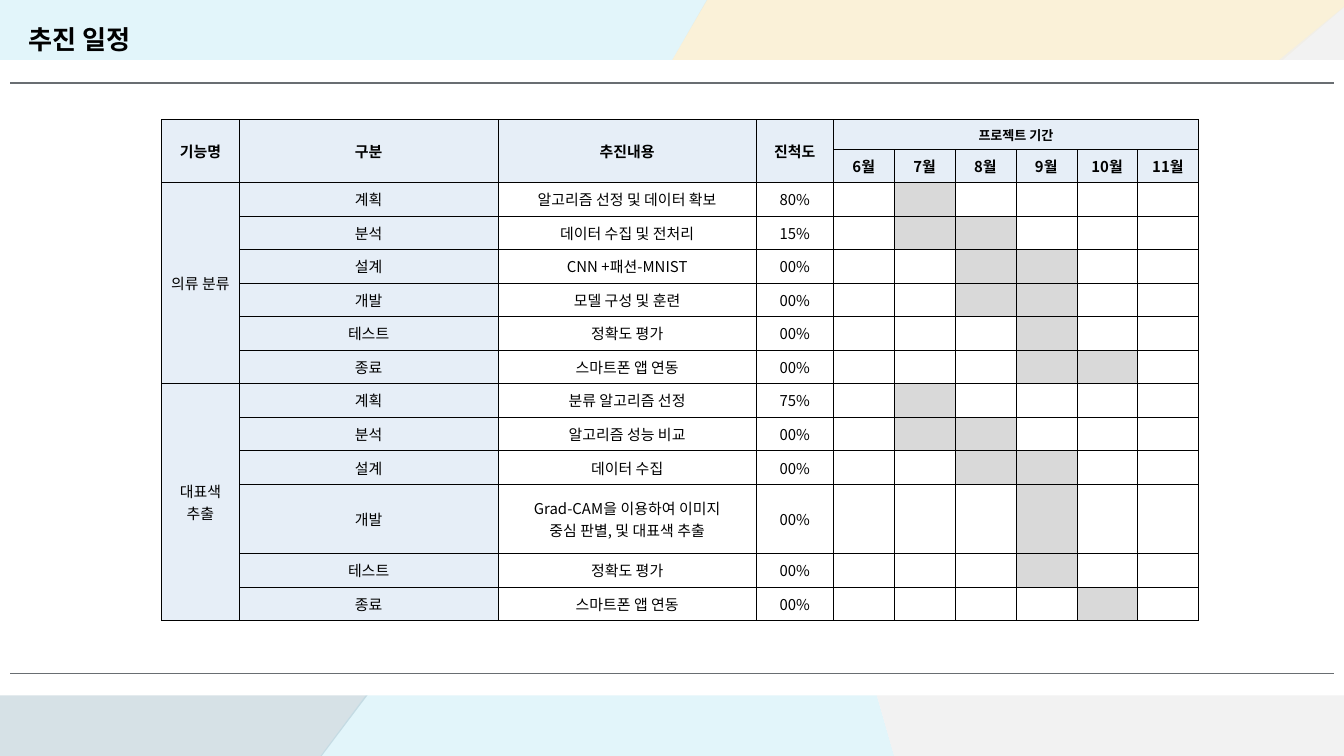
from lxml import etree
from pptx import Presentation
from pptx import util as u
from pptx.dml import color
from pptx.enum import shapes, text
from pptx.oxml import ns

FONT = "Noto Sans CJK KR"
BLACK = color.RGBColor(0x00, 0x00, 0x00)
WHITE = color.RGBColor(0xFF, 0xFF, 0xFF)
RULE = color.RGBColor(0x69, 0x6E, 0x72)
HEADER = color.RGBColor(0xE6, 0xEE, 0xF7)
ACTIVE = color.RGBColor(0xD9, 0xD9, 0xD9)
SKY = color.RGBColor(0x9E, 0xDD, 0xEF)
SAND = color.RGBColor(0xF7, 0xE5, 0xB7)
SLATE = color.RGBColor(0x96, 0xB3, 0xC1)
MIST = color.RGBColor(0xEE, 0xEE, 0xEE)

FACETS = [
    (SKY, 29, [(159.1, 421.9), (483.8, 421.9), (393.8, 107.3)]),
    (SAND, 53, [(727.2, -2.2), (727.2, -10.1), (384.5, -10.1), (311.8, 115.9), (660.2, 55.4)]),
    (SLATE, 39, [(-5.8, 427), (-5.8, 231.1), (395.3, 109.4), (152.6, 431.3)]),
    (SKY, 29, [(-5, 231.1), (-5, -7.2), (383, -7.2), (299.5, 136.1)]),
    (MIST, 72, [(483.8, 421.9), (727.2, 421.9), (727.2, -2.2), (432, 239.8)]),
]
HEADINGS = ["기능명", "구분", "추진내용", "진척도"]
PERIOD = "프로젝트 기간"
MONTHS = [6, 7, 8, 9, 10, 11]
STAGES = ["계획", "분석", "설계", "개발", "테스트", "종료"]
FEATURES = [
    ("의류 분류", [
        ("알고리즘 선정 및 데이터 확보", "80%", 7, 7),
        ("데이터 수집 및 전처리", "15%", 7, 8),
        ("CNN +패션-MNIST", "00%", 8, 9),
        ("모델 구성 및 훈련", "00%", 8, 9),
        ("정확도 평가", "00%", 9, 9),
        ("스마트폰 앱 연동", "00%", 9, 10),
    ]),
    ("대표색\n추출", [
        ("분류 알고리즘 선정", "75%", 7, 7),
        ("알고리즘 성능 비교", "00%", 7, 8),
        ("데이터 수집", "00%", 8, 9),
        ("Grad-CAM을 이용하여 이미지\n중심 판별, 및 대표색 추출", "00%", 9, 9),
        ("정확도 평가", "00%", 9, 9),
        ("스마트폰 앱 연동", "00%", 10, 10),
    ]),
]
COLUMN_WIDTHS = [41.8, 138.5, 138.5, 41.2] + [32.6] * len(MONTHS)
ROW_HEIGHTS = [16, 17.7] + [18] * 9 + [37] + [18] * 2


def write(frame, words, size=8, bold=False, align=text.PP_ALIGN.CENTER, spacing=None):
    """Fill a text frame with one paragraph for each line of words."""
    for index, line in enumerate(words.split("\n")):
        para = frame.add_paragraph() if index else frame.paragraphs[0]
        para.alignment = align
        if spacing:
            para.line_spacing = spacing
        if not line:
            etree.SubElement(para._p, ns.qn("a:endParaRPr"), sz=str(size * 100))
            continue
        span = para.add_run()
        span.text = line
        span.font.size = u.Pt(size)
        span.font.bold = bold
        span.font.name = FONT
        span.font.color.rgb = BLACK
        etree.SubElement(span._r.get_or_add_rPr(), ns.qn("a:ea"), typeface=FONT)


def paint(shape, fill, opacity=100):
    """Give a shape a plain fill without line or shadow."""
    shape.shadow.inherit = False
    shape.line.fill.background()
    shape.fill.solid()
    shape.fill.fore_color.rgb = fill
    if opacity < 100:
        tint = shape.fill._xPr.find(".//" + ns.qn("a:srgbClr"))
        etree.SubElement(tint, ns.qn("a:alpha"), val=str(opacity * 1000))


def add_rule(page, left, top, width):
    """Draw a thin horizontal rule."""
    rule = page.shapes.add_connector(
        shapes.MSO_CONNECTOR.STRAIGHT, u.Pt(left), u.Pt(top), u.Pt(left + width), u.Pt(top))
    rule.line.color.rgb = RULE
    rule.line.width = u.Pt(0.75)
    etree.SubElement(rule._element.spPr, ns.qn("a:effectLst"))


def add_backdrop(page, left, top, width, height):
    """Draw the coloured facets, the white panel over them and two rules."""
    for fill, opacity, corners in FACETS:
        points = [(u.Pt(left + x), u.Pt(top + y)) for x, y in corners]
        builder = page.shapes.build_freeform(*points[0])
        builder.add_line_segments(points[1:], close=True)
        paint(builder.convert_to_shape(), fill, opacity)
    panel = page.shapes.add_shape(
        shapes.MSO_SHAPE.RECTANGLE, u.Pt(left - 2.2), u.Pt(top + 32.2),
        u.Pt(width + 3.6), u.Pt(height - 64.6))
    paint(panel, WHITE)
    for offset in (44.5, 360.8):
        add_rule(page, left + 5.4, top + offset, width - 11)


def add_title(page, words, left, top, width, height):
    """Place and format the title in front of the backdrop."""
    title = page.shapes.title
    title.left, title.top = u.Pt(left), u.Pt(top)
    title.width, title.height = u.Pt(width), u.Pt(height)
    title.element.getparent().append(title.element)
    frame = title.text_frame
    frame.word_wrap = True
    frame.auto_size = text.MSO_AUTO_SIZE.SHAPE_TO_FIT_TEXT
    frame.vertical_anchor = text.MSO_ANCHOR.MIDDLE
    write(frame, words, size=14, bold=True, align=text.PP_ALIGN.LEFT, spacing=2.5)


def set_cell(cell, words="", fill=WHITE, **style):
    """Write, fill and border one table cell."""
    cell.margin_left = cell.margin_right = u.Pt(2)
    cell.margin_top = cell.margin_bottom = u.Pt(0.7)
    cell.vertical_anchor = text.MSO_ANCHOR.MIDDLE
    cell.fill.solid()
    cell.fill.fore_color.rgb = fill
    write(cell.text_frame, words, **style)
    properties = cell._tc.get_or_add_tcPr()
    for index, side in enumerate(("lnL", "lnR", "lnT", "lnB")):
        border = etree.Element(ns.qn("a:" + side), w=str(u.Pt(0.28)))
        solid = etree.SubElement(border, ns.qn("a:solidFill"))
        etree.SubElement(solid, ns.qn("a:srgbClr"), val=str(BLACK))
        properties.insert(index, border)


def add_schedule(page, left, top, width, height):
    """Build the schedule table with one shaded cell for each active month."""
    table = page.shapes.add_table(
        len(ROW_HEIGHTS), len(COLUMN_WIDTHS), u.Pt(left), u.Pt(top),
        u.Pt(width), u.Pt(height)).table
    for column, share in zip(table.columns, COLUMN_WIDTHS):
        column.width = u.Pt(share * width / sum(COLUMN_WIDTHS))
    for row, share in zip(table.rows, ROW_HEIGHTS):
        row.height = u.Pt(share * height / sum(ROW_HEIGHTS))

    first = len(HEADINGS)
    blanks = [""] * (len(MONTHS) - 1)
    for column, words in enumerate(HEADINGS + [PERIOD] + blanks):
        size = 7 if words == PERIOD else 8
        set_cell(table.cell(0, column), words, HEADER, size=size, bold=True)
    for column, words in enumerate([""] * first + [f"{month}월" for month in MONTHS]):
        set_cell(table.cell(1, column), words, HEADER, bold=True)
    for column in range(first):
        table.cell(0, column).merge(table.cell(1, column))
    table.cell(0, first).merge(table.cell(0, first + len(MONTHS) - 1))

    for group, (feature, tasks) in enumerate(FEATURES):
        start = 2 + group * len(STAGES)
        for index, (stage, (task, progress, begin, end)) in enumerate(zip(STAGES, tasks)):
            row = start + index
            set_cell(table.cell(row, 0), "" if index else feature, HEADER)
            set_cell(table.cell(row, 1), stage, HEADER)
            set_cell(table.cell(row, 2), task)
            set_cell(table.cell(row, 3), progress)
            for column, month in enumerate(MONTHS, first):
                set_cell(table.cell(row, column), fill=ACTIVE if begin <= month <= end else WHITE)
        table.cell(start, 0).merge(table.cell(start + len(STAGES) - 1, 0))


def main():
    """Build and save the schedule slide."""
    deck = Presentation()
    deck.slide_width, deck.slide_height = u.Pt(720), u.Pt(405)
    page = deck.slides.add_slide(deck.slide_layouts[5])
    add_backdrop(page, 0, 0, 720, 405)
    add_title(page, "추진 일정", 7.9, -13, 302.4, 42.5)
    add_schedule(page, 86.5, 64, 555.6, 268.6)
    deck.save("out.pptx")


if __name__ == "__main__":
    main()
